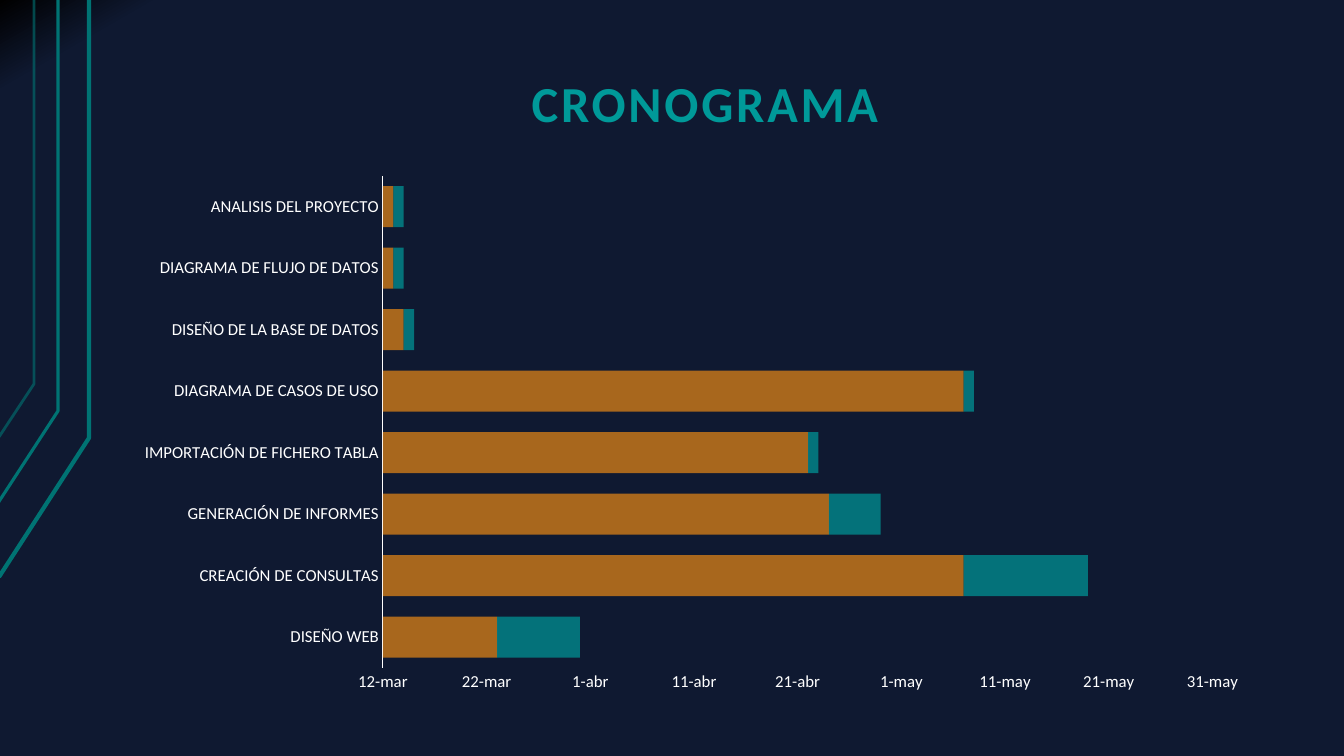
from lxml import etree
from pptx import Presentation, util as u
from pptx.chart import data as chart_data
from pptx.dml.color import RGBColor
from pptx.enum import chart as c, text
from pptx.oxml.ns import qn

# Content
TITLE = "CRONOGRAMA"
TASKS = [  # name, start as a date serial, days; listed from top to bottom
    ("ANALISIS DEL PROYECTO", 43172, 1),
    ("DIAGRAMA DE FLUJO DE DATOS", 43172, 1),
    ("DISEÑO DE LA BASE DE DATOS", 43173, 1),
    ("DIAGRAMA DE CASOS DE USO", 43227, 1),
    ("IMPORTACIÓN DE FICHERO TABLA", 43212, 1),
    ("GENERACIÓN DE INFORMES", 43214, 5),
    ("CREACIÓN DE CONSULTAS", 43227, 12),
    ("DISEÑO WEB", 43182, 8),
]
FIRST_DAY, LAST_DAY, DAY_STEP = 43171, 43255, 10
DATE_FORMAT = r"[$-C0A]d\-mmm;@"

# Style
FONT = "Calibri"
BLACK = RGBColor(0x00, 0x00, 0x00)
NAVY = RGBColor(0x0F, 0x19, 0x31)
WHITE = RGBColor(0xFF, 0xFF, 0xFF)
TEAL = RGBColor(0x00, 0x99, 0x99)
DARK_TEAL = RGBColor(0x00, 0x73, 0x73)
ORANGE = RGBColor(0xE9, 0x89, 0x15)

# Layout in pixels: left, top, width, height
PIXEL = 914400 / 100.8
TITLE_BOX = (134, 30, 1142, 110)
CHART_BOX = (124, 165, 1152, 538)
PLOT_BOX = (383, 176, 871, 492)
RAILS = [  # points, line width, opacity in percent
    ([(-1, 577), (89, 438), (89, 0)], 3, 100),
    ([(-2, 503), (58, 411), (58, 0)], 2.25, 100),
    ([(-1, 437), (34, 384), (34, 0)], 2, 60),
]


def emu(*pixels):
    return [u.Emu(round(pixel * PIXEL)) for pixel in pixels]


def set_opacity(element, percent):
    for color in element.iter(qn("a:srgbClr")):
        etree.SubElement(color, qn("a:alpha")).set("val", str(percent * 1000))


def style_font(font, size, color):
    font.name, font.size = FONT, u.Pt(size)
    font.color.rgb = color


presentation = Presentation()
presentation.slide_width, presentation.slide_height = emu(1344, 756)
slide = presentation.slides.add_slide(presentation.slide_layouts[6])

# Background: black corner fading into navy
background = slide.background.fill
background.gradient()
background.gradient_angle = 300
for stop, color, position in zip(background.gradient_stops, (BLACK, NAVY), (0, 0.06)):
    stop.color.rgb = color
    stop.position = position

# Bent rails on the left
for points, width, opacity in RAILS:
    builder = slide.shapes.build_freeform(*points[0], scale=PIXEL)
    builder.add_line_segments(points[1:], close=False)
    rail = builder.convert_to_shape()
    rail.shadow.inherit = False
    rail.fill.background()
    rail.line.color.rgb = DARK_TEAL
    rail.line.width = u.Pt(width)
    if opacity < 100:
        set_opacity(rail.line._ln, opacity)

# Title
title_frame = slide.shapes.add_textbox(*emu(*TITLE_BOX)).text_frame
title_frame.word_wrap = True
title_frame.vertical_anchor = text.MSO_ANCHOR.BOTTOM
title_frame.margin_left = title_frame.margin_right = emu(13)[0]
title_frame.margin_top = title_frame.margin_bottom = emu(7)[0]
title_frame.text = TITLE
paragraph = title_frame.paragraphs[0]
paragraph.alignment = text.PP_ALIGN.CENTER
paragraph.line_spacing = 0.9
run = paragraph.runs[0]
style_font(run.font, 36, TEAL)
run.font.bold = True
run.font._element.set("spc", "200")

# Gantt chart: start dates and durations stacked; bars are plotted from the bottom up
names, starts, durations = zip(*reversed(TASKS))
gantt_data = chart_data.CategoryChartData()
gantt_data.categories = names
gantt_data.add_series("Series 1", starts)
gantt_data.add_series("Series 2", durations)
chart = slide.shapes.add_chart(
    c.XL_CHART_TYPE.BAR_STACKED, *emu(*CHART_BOX), gantt_data).chart
chart.has_legend = chart.has_title = False
style_font(chart.font, 10, WHITE)

plot = chart.plots[0]
plot.gap_width, plot.overlap = 50, 100
plot.vary_by_categories = False
for series, color in zip(plot.series, (ORANGE, TEAL)):
    series.format.fill.solid()
    series.format.fill.fore_color.rgb = color
    series.invert_if_negative = False
    set_opacity(series._element, 70)

# Axes
task_axis, date_axis = chart.category_axis, chart.value_axis
for axis in (task_axis, date_axis):
    axis.major_tick_mark = axis.minor_tick_mark = c.XL_TICK_MARK.NONE
    axis.has_major_gridlines = False
    style_font(axis.tick_labels.font, 12, WHITE)
task_axis.format.line.color.rgb = WHITE
task_axis.format.line.width = u.Pt(0.75)
date_axis.minimum_scale, date_axis.maximum_scale = FIRST_DAY, LAST_DAY
date_axis.major_unit = DAY_STEP
date_axis.tick_labels.number_format = DATE_FORMAT
date_axis.tick_labels.number_format_is_linked = False
date_axis.format.line.fill.background()

# Fixed place of the plot inside the chart
plot_area = chart._chartSpace.find(".//" + qn("c:plotArea"))
for old_layout in plot_area.findall(qn("c:layout")):
    plot_area.remove(old_layout)
layout = etree.Element(qn("c:layout"))
plot_area.insert(0, layout)
manual = etree.SubElement(layout, qn("c:manualLayout"))
left, top, width, height = CHART_BOX
plot_left, plot_top, plot_width, plot_height = PLOT_BOX
for tag, value in [
    ("layoutTarget", "inner"), ("xMode", "edge"), ("yMode", "edge"),
    ("x", (plot_left - left) / width), ("y", (plot_top - top) / height),
    ("w", plot_width / width), ("h", plot_height / height),
]:
    etree.SubElement(manual, qn("c:" + tag)).set("val", str(value))

presentation.save("out.pptx")
